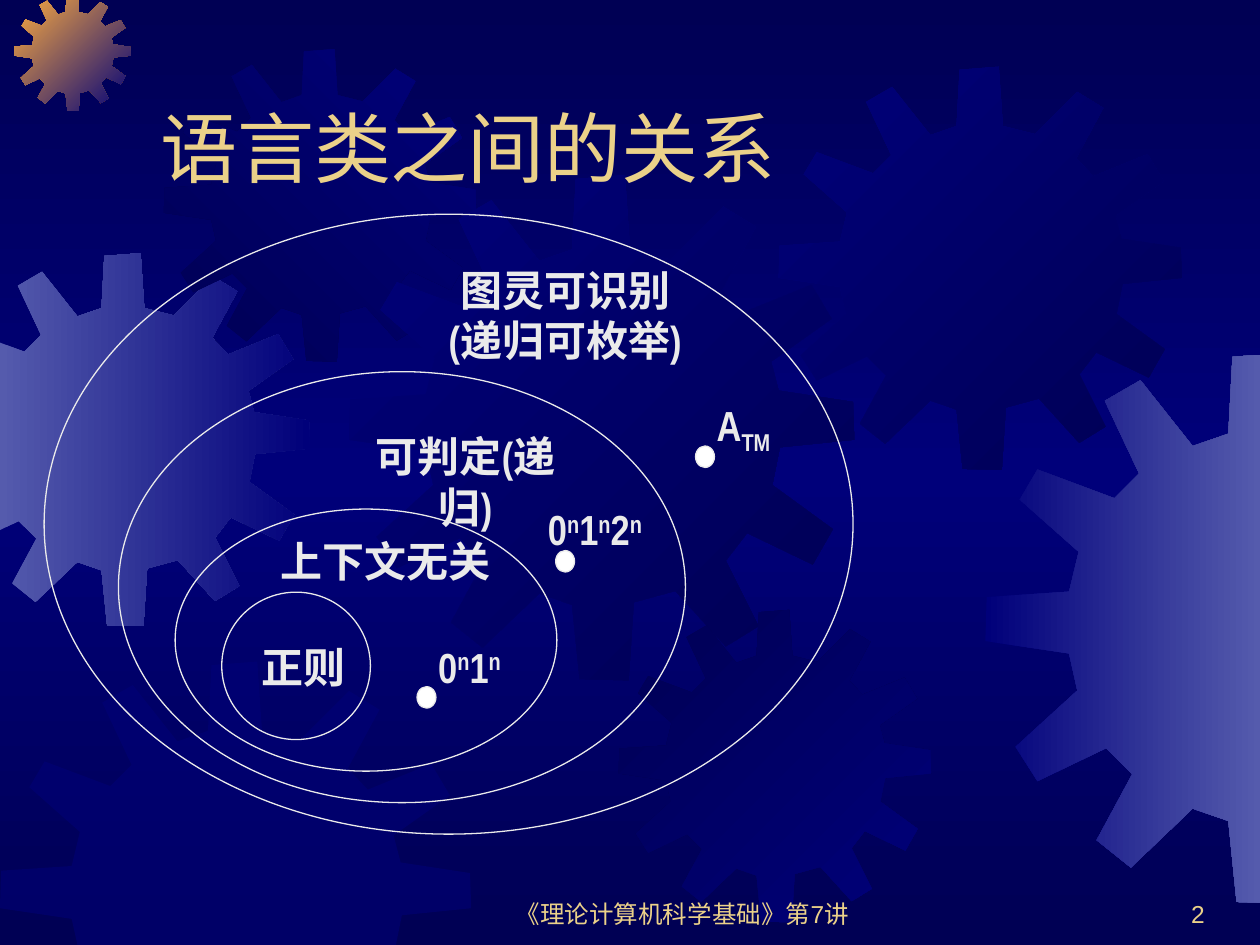
from pptx import Presentation
from pptx.util import Inches, Pt
from pptx.dml.color import RGBColor
from pptx.enum.shapes import MSO_SHAPE
from pptx.enum.text import PP_ALIGN, MSO_ANCHOR, MSO_AUTO_SIZE
from pptx.oxml.ns import qn
from lxml.etree import SubElement
from copy import deepcopy

NAVY, BLUE, HAZE, AMBER = "000054", "00007A", "555BAD", "FCAB40"
GOLD, PALE, WHITE = "EBD189", "EAEAEA", "FFFFFF"
COLS, ROWS = 100, 75

# Gear outline on a square of SPAN units
SPAN = 401
GEAR = [
    (255, 67), (223, 59), (219, 0), (180, 3), (177, 59), (151, 68),
    (113, 20), (87, 35), (112, 88), (94, 106), (38, 85), (25, 107),
    (68, 145), (61, 174), (1, 178), (0, 210), (61, 219), (67, 246),
    (22, 287), (38, 312), (88, 288), (107, 307), (81, 355), (106, 375),
    (151, 332), (177, 341), (183, 400), (222, 401), (226, 339), (259, 330),
    (299, 374), (325, 358), (299, 306), (316, 284), (368, 309), (384, 281),
    (336, 246), (342, 216), (401, 210), (400, 180), (341, 171), (335, 148),
    (383, 114), (367, 87), (313, 109), (296, 91), (323, 41), (297, 25),
]


def rgb(code):
    return RGBColor.from_string(code)


def clip(pts, axis, edge, sign):
    """Keep the part of a polygon on one side of a slide edge."""
    out = []
    for a, b in zip(pts[-1:] + pts[:-1], pts):
        da, db = sign * (a[axis] - edge), sign * (b[axis] - edge)
        if da * db < 0:
            t = da / (da - db)
            out.append(tuple(p + t * (q - p) for p, q in zip(a, b)))
        if db >= 0:
            out.append(b)
    return out


def blend(fill, tones, turn):
    """Linear gradient, turned clockwise."""
    fill.gradient()
    fill.gradient_angle = -turn % 360
    for n, (stop, tone) in enumerate(zip(fill.gradient_stops, tones)):
        stop.color.rgb = rgb(tone)
        stop.position = n


def write(frame, text, font="Arial Narrow", size=24, color=PALE, bold=True,
          align=PP_ALIGN.LEFT, anchor=MSO_ANCHOR.TOP):
    """Fill a frame; '|' parts runs, '^' raises and '_' lowers one."""
    frame.word_wrap = True
    frame.auto_size = MSO_AUTO_SIZE.NONE
    frame.vertical_anchor = anchor
    for n, line in enumerate(text.split("\n")):
        para = frame.paragraphs[0] if n == 0 else frame.add_paragraph()
        para.alignment = align
        for part in line.split("|"):
            run = para.add_run()
            run.text = part.lstrip("^_")
            run.font.name, run.font.size = font, Pt(size)
            run.font.bold, run.font.color.rgb = bold, rgb(color)
            shift = {"^": "30000", "_": "-25000"}.get(part[0])
            if shift:
                run.font._element.set("baseline", shift)


class Board:
    """Current slide, measured in columns and rows."""

    def __init__(self, deck):
        self.slide = deck.slides.add_slide(deck.slide_layouts[5])
        self.shapes = self.slide.shapes
        self.col, self.row = deck.slide_width / COLS, deck.slide_height / ROWS

    def box(self, x, y, w, h):
        return [round(v * u) for v, u in
                ((x, self.col), (y, self.row), (w, self.col), (h, self.row))]

    def ground(self, tones, turn):
        fill = self.slide.background.fill
        blend(fill, tones[::2], turn)
        stops = next(self.slide.element.iter(qn("a:gsLst")))
        stops.insert(1, deepcopy(stops[0]))
        fill.gradient_stops[1].color.rgb = rgb(tones[1])
        fill.gradient_stops[1].position = 0.5

    def gear(self, x, y, size, tones, turn=0):
        pts = [(x + size * a / SPAN, y + size * b / SPAN) for a, b in GEAR]
        for axis, edge, sign in ((0, 0, 1), (0, COLS, -1),
                                 (1, 0, 1), (1, ROWS, -1)):
            pts = clip(pts, axis, edge, sign)
        pts = [(round(a * self.col), round(b * self.row)) for a, b in pts]
        form = self.shapes.build_freeform(*pts[0], scale=1.0)
        form.add_line_segments(pts[1:], close=True)
        shape = form.convert_to_shape()
        shape.shadow.inherit = False
        shape.line.fill.background()
        if len(tones) > 1:
            blend(shape.fill, tones, turn)
        else:
            shape.fill.solid()
            shape.fill.fore_color.rgb = rgb(tones[0])
            tone = next(shape.element.spPr.iter(qn("a:srgbClr")))
            SubElement(tone, qn("a:alpha")).set("val", "50000")

    def oval(self, x, y, w, h, fill=None):
        shape = self.shapes.add_shape(MSO_SHAPE.OVAL, *self.box(x, y, w, h))
        shape.shadow.inherit = False
        shape.line.color.rgb, shape.line.width = rgb(PALE), Pt(0.75)
        if fill:
            shape.fill.solid()
            shape.fill.fore_color.rgb = rgb(fill)
        else:
            shape.fill.background()

    def label(self, x, y, w, h, text, **style):
        write(self.shapes.add_textbox(*self.box(x, y, w, h)).text_frame,
              text, **style)

    def title(self, x, y, w, h, text, **style):
        head = self.shapes.title
        head.left, head.top, head.width, head.height = self.box(x, y, w, h)
        write(head.text_frame, text, **style)
        # Bring the title in front of the gears
        head.element.getparent().append(head.element)


deck = Presentation()
deck.slide_width, deck.slide_height = Inches(10), Inches(7.5)
board = Board(deck)

# Background and gears
board.ground([NAVY, BLUE, NAVY], 90)
for gear in [
    (-5, 20.1, 29.6, [HAZE, BLUE], 0),
    (1.15, -0.4, 9.2, [AMBER, BLUE], 45),
    (13, 3.9, 24.8, [NAVY, BLUE], 315),
    (27.7, 13.9, 40.1, [BLUE, NAVY], 45),
    (0, 52.5, 37.4, [BLUE]),
    (49.1, 48.4, 24.8, [NAVY, BLUE], 45),
    (61.8, 5.3, 32, [BLUE, NAVY], 45),
    (78.2, 28, 43.7, [BLUE, HAZE], 0),
]:
    board.gear(*gear)

# Title and footer
plain = dict(font="Arial", color=GOLD, bold=False, anchor=MSO_ANCHOR.BOTTOM)
board.title(11.7, 3.3, 85, 12.5, "语言类之间的关系", size=44, **plain)
board.label(38.3, 69.2, 31.7, 5, "《理论计算机科学基础》第7讲", size=14,
            align=PP_ALIGN.CENTER, **plain)
board.label(75.8, 69.2, 20.8, 5, "2", size=14, align=PP_ALIGN.RIGHT, **plain)

# Nested language classes
for ring in [(3.5, 17, 64.2, 49.2), (9.4, 29.5, 45, 34.2),
             (13.9, 40.4, 30.3, 20.8), (17.6, 47, 11.8, 11.7)]:
    board.oval(*ring)

# Class names
board.label(19.8, 50.4, 9, 5, "正则")
board.label(21.3, 42, 19.2, 5, "上下文无关")
board.label(34.5, 20.5, 20.7, 9.1, "图灵可识别\n(递归可枚举)",
            align=PP_ALIGN.CENTER)
board.label(26.8, 33.7, 20.3, 5, "可判定(递归)", align=PP_ALIGN.CENTER)

# Sample languages: dot, then its label
for x, y, left, top, wide, text in [
    (33.1, 54.5, 33.8, 50.4, 7.4, "0|^n|1|^n"),
    (44.1, 43.7, 42.5, 39.5, 11.2, "0|^n|1|^n|2|^n"),
    (55.2, 35.4, 55.9, 31.2, 7.4, "A|_TM"),
]:
    board.oval(x, y, 1.5, 1.7, WHITE)
    board.label(left, top, wide, 5, text)

deck.save("out.pptx")
